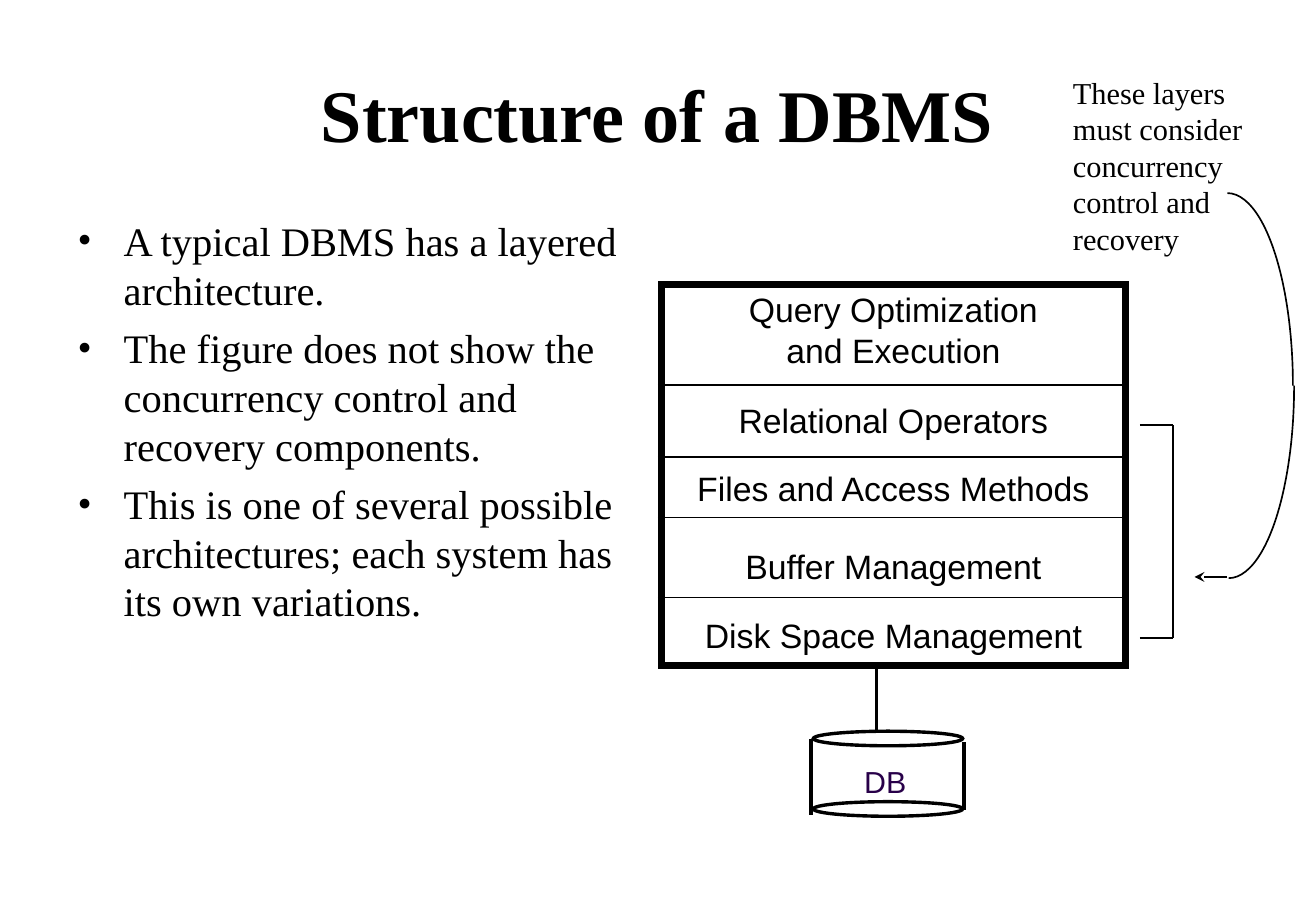
from dataclasses import dataclass

from lxml import etree
from pptx import Presentation, util as u
from pptx.dml.color import RGBColor
from pptx.enum import shapes, text
from pptx.oxml import ns

CELL = 0.1
COLS, ROWS = 108.4, 75


@dataclass(frozen=True)
class Theme:
    ink: str = "000000"
    plum: str = "280049"
    serif: str = "Times New Roman"
    sans: str = "Arial"
    title: int = 44
    body: int = 24
    layer: int = 20
    note: int = 18
    thin: int = 1
    mid: int = 2
    thick: int = 4


T = Theme()
Kind = shapes.MSO_SHAPE
LEFT, CENTER = text.PP_ALIGN.LEFT, text.PP_ALIGN.CENTER


@dataclass(frozen=True)
class Box:
    col: float
    row: float
    wide: float
    high: float


@dataclass(frozen=True)
class Label:
    box: Box
    lines: tuple[str, ...]
    size: int
    font: str
    align: int = LEFT
    color: str = T.ink
    bold: bool = False
    wrap: bool = False
    middle: bool = False
    bullet: bool = False


@dataclass(frozen=True)
class Stroke:
    start: tuple[float, float]
    end: tuple[float, float]
    width: int = T.thin
    arrow: bool = False


@dataclass(frozen=True)
class Figure:
    kind: int
    box: Box
    width: int
    turns: tuple[float, ...] = ()


def grid(count: float) -> int:
    return u.Inches(count * CELL)


def place(box: Box) -> list[int]:
    return [grid(n) for n in (box.col, box.row, box.wide, box.high)]


def ink(line, width: int) -> None:
    line.color.rgb = RGBColor.from_string(T.ink)
    line.width = u.Pt(width)


def add_dot(par, font: str) -> None:
    props = par._p.get_or_add_pPr()
    props.set("marL", str(grid(3.8)))
    props.set("indent", str(-grid(3.8)))
    etree.SubElement(props, ns.qn("a:buFont"), typeface=font)
    etree.SubElement(props, ns.qn("a:buChar"), char="•")


def draw_label(slide, label: Label) -> None:
    frame = slide.shapes.add_textbox(*place(label.box)).text_frame
    frame.word_wrap = label.wrap
    if label.middle:
        frame.vertical_anchor = text.MSO_ANCHOR.MIDDLE
    for i, line in enumerate(label.lines):
        par = frame.add_paragraph() if i else frame.paragraphs[0]
        par.text = line
        par.alignment = label.align
        if label.bullet:
            add_dot(par, label.font)
            if i:
                par.space_before = u.Pt(6)
        par.font.size = u.Pt(label.size)
        par.font.name = label.font
        par.font.bold = label.bold
        par.font.color.rgb = RGBColor.from_string(label.color)


def draw_stroke(slide, stroke: Stroke) -> None:
    ends = [grid(n) for n in (*stroke.start, *stroke.end)]
    link = slide.shapes.add_connector(shapes.MSO_CONNECTOR.STRAIGHT, *ends)
    ink(link.line, stroke.width)
    if stroke.arrow:
        etree.SubElement(link.line._get_or_add_ln(), ns.qn("a:tailEnd"), type="stealth")
    etree.SubElement(link._element.spPr, ns.qn("a:effectLst"))


def draw_figure(slide, figure: Figure) -> None:
    shape = slide.shapes.add_shape(figure.kind, *place(figure.box))
    shape.shadow.inherit = False
    shape.fill.background()
    ink(shape.line, figure.width)
    etree.SubElement(shape.line._get_or_add_ln(), ns.qn("a:miter"), lim="800000")
    for i, turn in enumerate(figure.turns):
        shape.adjustments[i] = turn


LAYERS = [
    (23.3, 7.6, ("Query Optimization", "and Execution")),
    (32.4, 4.3, ("Relational Operators",)),
    (38, 4.3, ("Files and Access Methods",)),
    (44.4, 4.3, ("Buffer Management",)),
    (50.1, 4.3, ("Disk Space Management",)),
]

LABELS = [
    Label(Box(5.4, 3, 97.5, 12.5), ("Structure of a DBMS",), T.title, T.serif,
          CENTER, bold=True, wrap=True, middle=True),
    Label(Box(5.4, 17.3, 47.8, 49.5), (
        "A typical DBMS has a layered architecture.",
        "The figure does not show the concurrency control and recovery components.",
        "This is one of several possible architectures; each system has its own variations.",
    ), T.body, T.serif, wrap=True, bullet=True),
    *[Label(Box(54.5, row, 38.2, high), lines, T.layer, T.sans, CENTER)
      for row, high, lines in LAYERS],
    Label(Box(70.2, 62.3, 5.5, 4), ("DB",), T.note, T.sans, color=T.plum),
    Label(Box(87.4, 5.6, 18, 16),
          ("These layers", "must consider", "concurrency", "control and", "recovery"),
          T.note, T.serif, wrap=True),
]

FIGURES = [
    Figure(Kind.RECTANGLE, Box(54.5, 23.4, 38.2, 31.4), T.thick),
    *[Figure(Kind.OVAL, Box(67, row, 12.3, 1.2), T.mid) for row in (60.2, 66)],
    Figure(Kind.ARC, Box(95.7, 15.9, 10.8, 31.7), T.thin, (162, 0)),
    Figure(Kind.ARC, Box(95.8, 15.9, 10.8, 31.7), T.thin, (0, 54)),
]

STROKES = [
    *[Stroke((54.2, row), (93, row)) for row in (31.7, 37.6, 42.6, 49.2)],
    Stroke((66.8, 60.8), (66.8, 67.1), T.mid),
    Stroke((79.4, 61.1), (79.4, 66.7), T.mid),
    Stroke((72.2, 55.1), (72.2, 60.1), T.mid),
    *[Stroke((93.9, row), (96.6, row)) for row in (35, 52.5)],
    Stroke((96.6, 35), (96.6, 52.5)),
    Stroke((101.1, 47.5), (98.4, 47.5), arrow=True),
]


def main() -> None:
    deck = Presentation()
    deck.slide_width, deck.slide_height = grid(COLS), grid(ROWS)
    slide = deck.slides.add_slide(deck.slide_layouts[6])
    for label in LABELS:
        draw_label(slide, label)
    for figure in FIGURES:
        draw_figure(slide, figure)
    for stroke in STROKES:
        draw_stroke(slide, stroke)
    deck.save("out.pptx")


if __name__ == "__main__":
    main()
